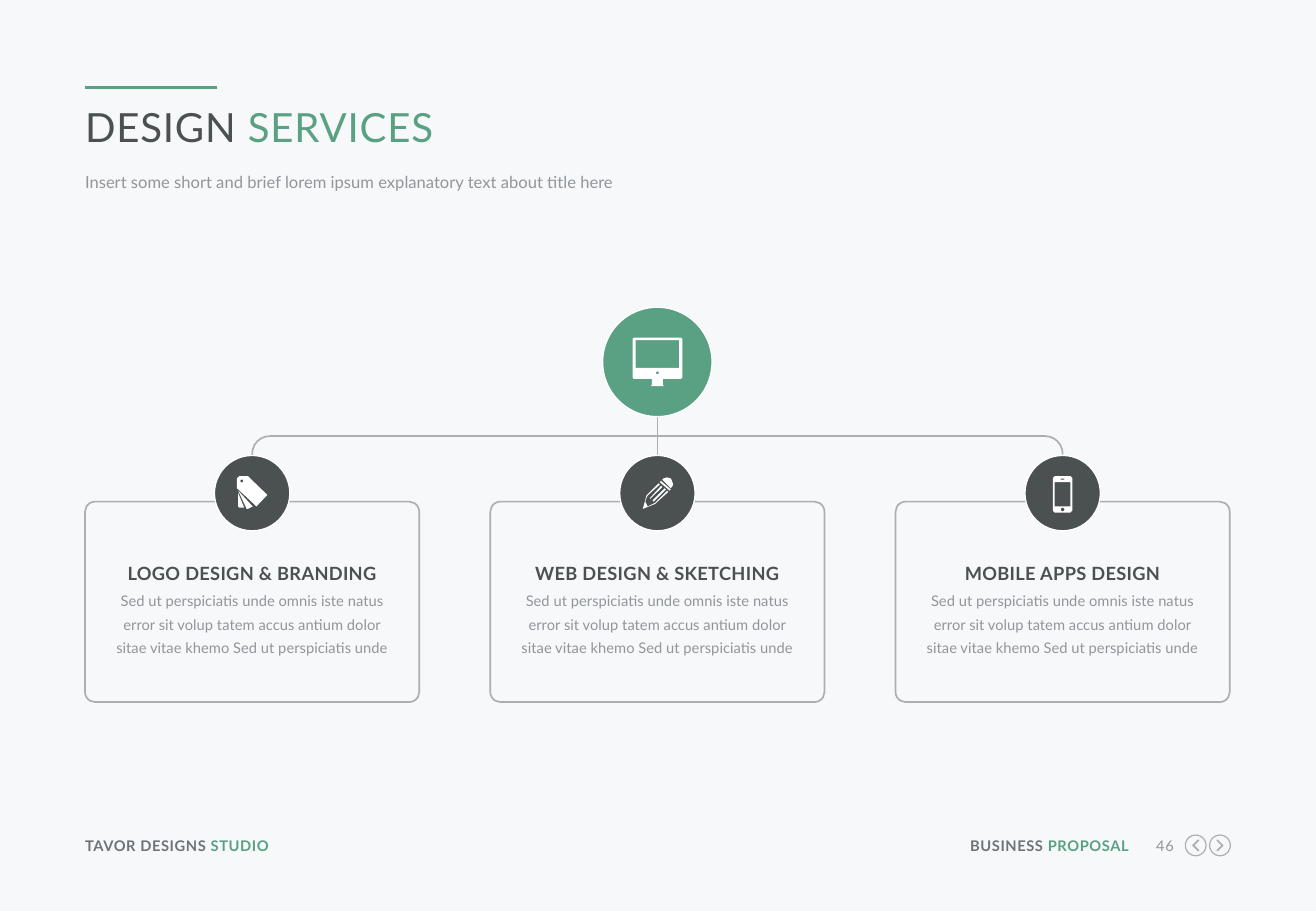
import math
from dataclasses import dataclass
from typing import Optional

import pptx
import pptx.dml.color
import pptx.enum.shapes
import pptx.enum.text
import pptx.oxml.ns
import pptx.shapes.autoshape
import pptx.slide
import pptx.util
from lxml import etree

Inches = pptx.util.Inches
Preset = pptx.enum.shapes.MSO_SHAPE
Align = pptx.enum.text.PP_ALIGN
Point = tuple[float, float]
Contour = list[Point]


@dataclass(frozen=True)
class TextStyle:
    size: float
    bold: bool = False
    tracking: float = 0
    leading: Optional[float] = None


@dataclass(frozen=True)
class Theme:
    font: str = "Lato"
    background: str = "F6F8FA"
    green: str = "5AA082"
    dark: str = "4B5050"
    footer: str = "6E7378"
    muted: str = "91969B"
    rule: str = "AAAFB4"
    white: str = "FFFFFF"
    title: TextStyle = TextStyle(23.8, tracking=0.5)
    subtitle: TextStyle = TextStyle(9.8, leading=13)
    heading: TextStyle = TextStyle(10.8, bold=True, tracking=0.2, leading=18.4)
    body: TextStyle = TextStyle(8.7, leading=14.1)
    brand: TextStyle = TextStyle(8.7, bold=True, tracking=0.3)
    number: TextStyle = TextStyle(8.7, tracking=0.3)


@dataclass(frozen=True)
class Box:
    left: float
    top: float
    width: float
    height: float


@dataclass(frozen=True)
class Span:
    text: str
    color: str


@dataclass(frozen=True)
class Service:
    heading: str
    icon: list[Contour]


THEME = Theme()
MARGIN, CONTENT_WIDTH = 0.7, 9.42
CENTER = MARGIN + CONTENT_WIDTH / 2
CARD_WIDTH, CARD_TOP, CARD_HEIGHT = 2.75, 4.13, 1.65
CARD_PITCH = (CONTENT_WIDTH - CARD_WIDTH) / 2
HUB_Y, HUB_RADIUS = 2.98, 0.45
BADGE_Y, BADGE_RADIUS = 4.06, 0.31
BRANCH_Y, BEND = 3.59, 0.145
BODY_TEXT = ("Sed ut perspiciatis unde omnis iste natus error sit volup tatem accus "
             "antium dolor sitae vitae khemo Sed ut perspiciatis unde")


def circle(x: float, y: float, radius: float) -> Contour:
    angles = [math.tau * step / 32 for step in range(32)]
    return [(x + radius * math.cos(a), y + radius * math.sin(a)) for a in angles]


def rectangle(left: float, top: float, width: float, height: float, cut: float = 0) -> Contour:
    """Outline of a rectangle whose corners are cut off by the given length."""
    right, bottom = left + width, top + height
    return [(left, top + cut), (left + cut, top), (right - cut, top), (right, top + cut),
            (right, bottom - cut), (right - cut, bottom), (left + cut, bottom), (left, bottom - cut)]


# Icon outlines are in hundredths of an inch from the centre of their circle.
MONITOR = [rectangle(-20.5, -20, 41, 34, 1), rectangle(-18, -18, 36, 23), circle(0, 9, 1.2),
           [(-4.5, 14), (4.5, 14), (4.5, 19), (5.5, 20), (-5.5, 20), (-4.5, 19)]]
TAGS = [[(-12.5, -5), (-12.5, -12), (-10.5, -14), (-3.5, -14), (-2.5, -13), (12.5, 1.5),
         (3.5, 11), (2.5, 10), (-12.5, -4)],
        circle(-8.5, -10, 1.2),
        [(-11.5, -2), (0.5, 11), (-3.5, 13), (-4.5, 13)],
        [(-11.5, 0), (-6.5, 12), (-10.5, 12), (-11.5, 11)]]
PENCIL = [[(-12, 13), (-9, 2), (1, -8), (2, -7), (-8, 2), (-9, 4), (-10, 7), (-9, 9), (-8, 11),
           (-2, 8), (8, -2), (9, -1), (-2, 9)],
          [(-6, 4), (3, -6), (4, -5), (-6, 5)],
          [(-4, 6), (6, -4), (7, -3), (-3, 7)],
          [(2, -9), (3, -10), (11, -3), (10, -2)],
          [(4, -11), (5, -12), (8, -13), (11, -12), (12, -10), (13, -7), (12, -5), (11, -4)]]
PHONE = [rectangle(-8, -14, 16, 30, 1.5), rectangle(-6.5, -9, 13, 20),
         circle(0, 13.5, 1.5), rectangle(-1.5, -12, 3, 1)]
CHEVRON = [(-3, -4), (1, 0), (-3, 4), (-2, 5), (3, 0), (-2, -5)]

SERVICES = [Service("LOGO DESIGN & BRANDING", TAGS),
            Service("WEB DESIGN & SKETCHING", PENCIL),
            Service("MOBILE APPS DESIGN", PHONE)]


def rgb(color: str) -> pptx.dml.color.RGBColor:
    return pptx.dml.color.RGBColor.from_string(color)


def paint(shape: pptx.shapes.autoshape.Shape, fill: Optional[str],
          line: Optional[str], width: float = 1) -> None:
    shape.shadow.inherit = False
    if fill:
        shape.fill.solid()
        shape.fill.fore_color.rgb = rgb(fill)
    else:
        shape.fill.background()
    if line:
        shape.line.color.rgb = rgb(line)
        shape.line.width = pptx.util.Pt(width)
    else:
        shape.line.fill.background()


def add_preset(page: pptx.slide.Slide, preset: Preset, box: Box, fill: Optional[str] = None,
               line: str = THEME.rule, width: float = 1) -> pptx.shapes.autoshape.Shape:
    shape = page.shapes.add_shape(preset, Inches(box.left), Inches(box.top),
                                  Inches(box.width), Inches(box.height))
    paint(shape, fill, line, width)
    return shape


def add_line(page: pptx.slide.Slide, start: Point, end: Point,
             color: str = THEME.rule, width: float = 1) -> None:
    line = page.shapes.add_connector(pptx.enum.shapes.MSO_CONNECTOR.STRAIGHT,
                                     *map(Inches, start + end))
    line.line.color.rgb = rgb(color)
    line.line.width = pptx.util.Pt(width)
    etree.SubElement(line._element.spPr, pptx.oxml.ns.qn("a:effectLst"))


def add_icon(page: pptx.slide.Slide, center: Point, contours: list[Contour], color: str) -> None:
    """Draw the contours as one shape; a contour inside another is a hole."""
    placed = [[(Inches(center[0] + x / 100), Inches(center[1] + y / 100)) for x, y in contour]
              for contour in contours]
    builder = page.shapes.build_freeform(*placed[0][0])
    for contour in placed:
        builder.move_to(*contour[0])
        builder.add_line_segments(contour[1:], close=True)
    paint(builder.convert_to_shape(), color, None)


def add_disc(page: pptx.slide.Slide, center: Point, radius: float, fill: str) -> None:
    box = Box(center[0] - radius, center[1] - radius, 2 * radius, 2 * radius)
    add_preset(page, Preset.OVAL, box, fill, THEME.white, 0.75)


def add_text(page: pptx.slide.Slide, box: Box, style: TextStyle, spans: list[Span],
             align: Align = Align.LEFT) -> None:
    frame = page.shapes.add_textbox(Inches(box.left), Inches(box.top),
                                    Inches(box.width), Inches(box.height)).text_frame
    frame.word_wrap = True
    frame.margin_left = frame.margin_right = frame.margin_top = frame.margin_bottom = 0
    para = frame.paragraphs[0]
    para.alignment = align
    if style.leading:
        para.line_spacing = pptx.util.Pt(style.leading)
    para.font.name = THEME.font
    para.font.size = pptx.util.Pt(style.size)
    para.font.bold = style.bold
    for span in spans:
        run = para.add_run()
        run.text = span.text
        run.font.color.rgb = rgb(span.color)
        if style.tracking:
            run._r.get_or_add_rPr().set("spc", str(round(style.tracking * 100)))


def add_header(page: pptx.slide.Slide) -> None:
    add_line(page, (MARGIN, 0.72), (1.79, 0.72), THEME.green, 2.25)
    add_text(page, Box(MARGIN, 0.84, CONTENT_WIDTH, 0.41), THEME.title,
             [Span("DESIGN", THEME.dark), Span(" SERVICES", THEME.green)])
    add_text(page, Box(MARGIN, 1.4, CONTENT_WIDTH, 0.21), THEME.subtitle,
             [Span("Insert some short and brief lorem ipsum explanatory text about title here",
                   THEME.muted)])


def add_footer(page: pptx.slide.Slide) -> None:
    add_text(page, Box(MARGIN, 6.89, 2.11, 0.15), THEME.brand,
             [Span("TAVOR DESIGNS ", THEME.footer), Span("STUDIO", THEME.green)])
    add_text(page, Box(7.92, 6.89, 1.37, 0.15), THEME.brand,
             [Span("BUSINESS ", THEME.footer), Span("PROPOSAL", THEME.green)], Align.RIGHT)
    add_text(page, Box(9.41, 6.89, 0.25, 0.15), THEME.number,
             [Span("46", THEME.muted)], Align.RIGHT)
    for x, direction in ((9.84, -1), (10.04, 1)):
        arrow = [(direction * dx, dy) for dx, dy in CHEVRON]
        add_icon(page, (x, 6.96), [circle(0, 0, 9), circle(0, 0, 8), arrow], THEME.rule)


def add_branches(page: pptx.slide.Slide) -> None:
    add_line(page, (CENTER, HUB_Y + HUB_RADIUS), (CENTER, BADGE_Y - BADGE_RADIUS))
    # Arc adjustments count hundred-thousandths of 1/60000 degree: 108 is 180°, 162 is 270°.
    for side, start, end in ((-1, 108, 162), (1, 162, 0)):
        outer = CENTER + side * CARD_PITCH
        bend_x = outer - side * BEND
        add_line(page, (bend_x, BRANCH_Y), (CENTER, BRANCH_Y))
        arc = add_preset(page, Preset.ARC, Box(bend_x - BEND, BRANCH_Y, 2 * BEND, 2 * BEND))
        arc.adjustments[0], arc.adjustments[1] = start, end
        add_line(page, (outer, BRANCH_Y + BEND), (outer, 3.79))


def add_service(page: pptx.slide.Slide, service: Service, left: float) -> None:
    middle = left + CARD_WIDTH / 2
    card = add_preset(page, Preset.ROUNDED_RECTANGLE,
                      Box(left, CARD_TOP, CARD_WIDTH, CARD_HEIGHT))
    card.adjustments[0] = 0.05
    add_disc(page, (middle, BADGE_Y), BADGE_RADIUS, THEME.dark)
    add_icon(page, (middle, BADGE_Y), service.icon, THEME.white)
    for top, height, style, span in (
            (4.55, 0.25, THEME.heading, Span(service.heading, THEME.dark)),
            (4.82, 0.59, THEME.body, Span(BODY_TEXT, THEME.muted))):
        add_text(page, Box(middle - 1.2, top, 2.4, height), style, [span], Align.CENTER)


def main() -> None:
    deck = pptx.Presentation()
    deck.slide_width, deck.slide_height = Inches(10.83), Inches(7.5)
    page = deck.slides.add_slide(deck.slide_layouts[6])
    page.background.fill.solid()
    page.background.fill.fore_color.rgb = rgb(THEME.background)
    add_header(page)
    add_footer(page)
    add_branches(page)
    for index, service in enumerate(SERVICES):
        add_service(page, service, MARGIN + index * CARD_PITCH)
    add_disc(page, (CENTER, HUB_Y), HUB_RADIUS, THEME.green)
    add_icon(page, (CENTER, HUB_Y), MONITOR, THEME.white)
    deck.save("out.pptx")


if __name__ == "__main__":
    main()
